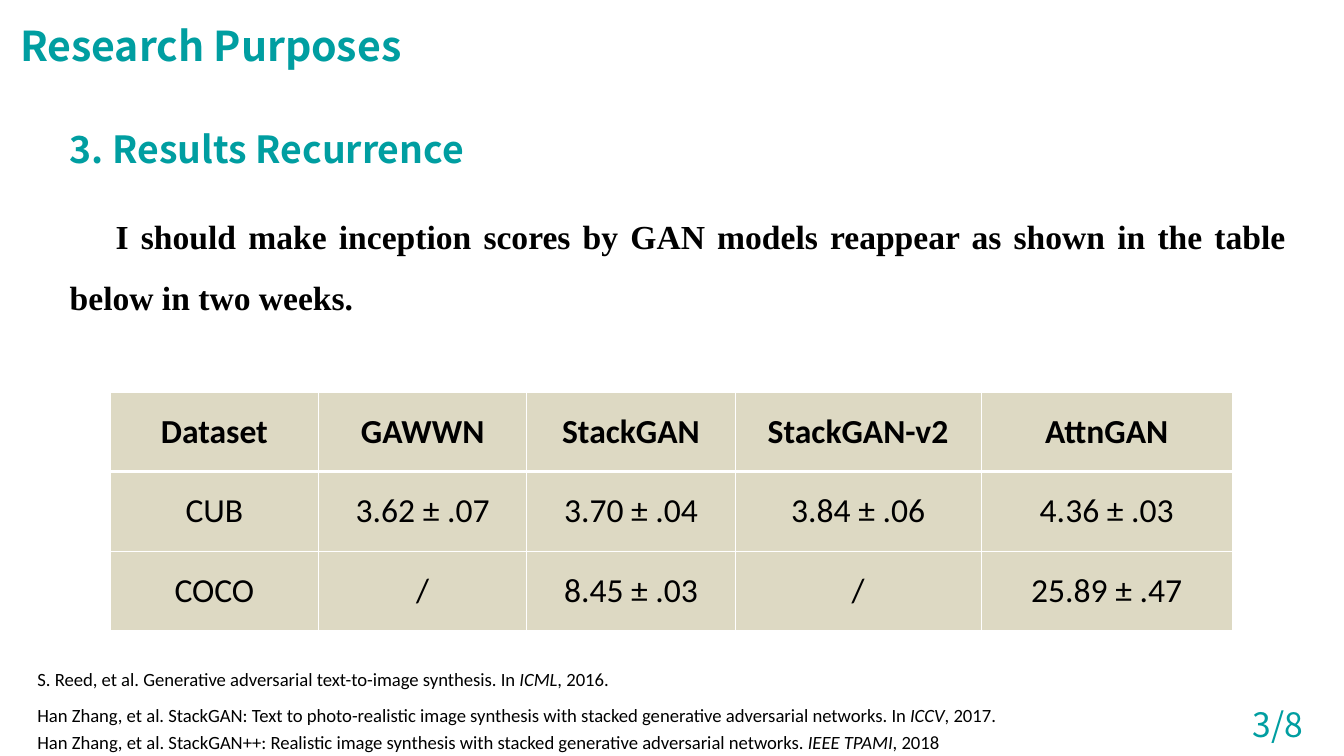
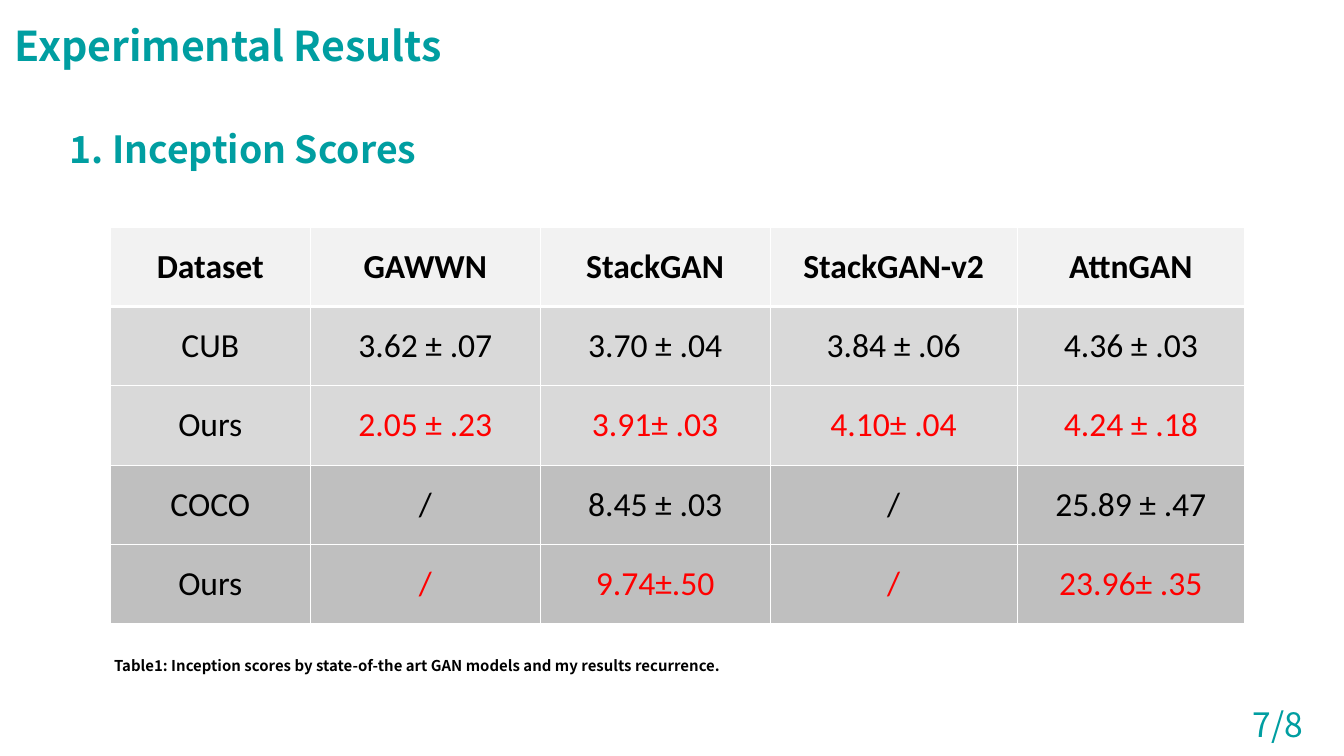
import pptx
import pptx.dml.color
import pptx.enum.text
import pptx.oxml
import pptx.oxml.ns
import pptx.util
from lxml import etree

Pt = pptx.util.Pt
RGBColor = pptx.dml.color.RGBColor
PP_ALIGN = pptx.enum.text.PP_ALIGN
MSO_ANCHOR = pptx.enum.text.MSO_ANCHOR
MSO_AUTO_SIZE = pptx.enum.text.MSO_AUTO_SIZE
qn = pptx.oxml.ns.qn

TEAL = RGBColor(0x00, 0x9E, 0xA1)
BLACK = RGBColor(0x00, 0x00, 0x00)
WHITE = RGBColor(0xFF, 0xFF, 0xFF)
RED = RGBColor(0xFF, 0x00, 0x00)
SAND = RGBColor(0xDD, 0xD9, 0xC3)
PALE_GREY = RGBColor(0xF2, 0xF2, 0xF2)
LIGHT_GREY = RGBColor(0xD9, 0xD9, 0xD9)
MID_GREY = RGBColor(0xBF, 0xBF, 0xBF)

SANS, SERIF, BODY = "Noto Sans CJK SC", "Times New Roman", "Calibri"
ROW_HEIGHT = 42.48
THIN, THICK = 0.45, 1.47

HEADER = ["Dataset", "GAWWN", "StackGAN", "StackGAN-v2", "AttnGAN"]
CUB = ["CUB", "3.62 ± .07", "3.70 ± .04", "3.84 ± .06", "4.36 ± .03"]
CUB_OURS = ["Ours", "2.05 ± .23", "3.91± .03", "4.10± .04", "4.24 ± .18"]
COCO = ["COCO", "/", "8.45 ± .03", "/", "25.89 ± .47"]
COCO_OURS = ["Ours", "/", "9.74±.50", "/", "23.96± .35"]

REFERENCES = [
    (354.24, 624.24, "S. Reed, et al. Generative adversarial text-to-image synthesis. In ",
     "ICML", ", 2016."),
    (373.68, 624.24, "Han Zhang, et al. StackGAN: Text to photo-realistic image synthesis "
     "with stacked generative adversarial networks. In ", "ICCV", ", 2017."),
    (388.08, 654.48, "Han Zhang, et al. StackGAN++: Realistic image synthesis with stacked "
     "generative adversarial networks. ", "IEEE TPAMI", ", 2018"),
]


def set_font(p, name, size, color, bold=False):
    p.font.name = name
    p.font.size = Pt(size)
    p.font.color.rgb = color
    p.font.bold = bold


def add_box(s, left, top, width, height, wrap=True):
    """Add an empty text box and return its first paragraph."""
    tf = s.shapes.add_textbox(Pt(left), Pt(top), Pt(width), Pt(height)).text_frame
    tf.word_wrap = wrap
    tf.auto_size = MSO_AUTO_SIZE.SHAPE_TO_FIT_TEXT
    return tf.paragraphs[0]


def add_body_text(s, box, text, font, size, color, indent=0):
    """Add a bold, justified paragraph with open line spacing."""
    p = add_box(s, *box)
    p.text = text
    p.alignment = PP_ALIGN.JUSTIFY
    p.line_spacing = 1.5
    p.space_after = Pt(12)
    if indent:
        p._p.get_or_add_pPr().set("indent", str(Pt(indent)))
    set_font(p, font, size, color, True)


def add_frame(prs, title, title_left, title_width, heading, page):
    """Add a slide with its title, section heading and page number."""
    s = prs.slides.add_slide(prs.slide_layouts[5])
    sp = s.shapes.title
    sp.left, sp.top = Pt(title_left), Pt(7.2)
    sp.width, sp.height = Pt(title_width), Pt(33.84)
    tf = sp.text_frame
    tf.text = title
    tf.word_wrap = False
    tf.auto_size = MSO_AUTO_SIZE.SHAPE_TO_FIT_TEXT
    tf.vertical_anchor = MSO_ANCHOR.TOP
    p = tf.paragraphs[0]
    p.alignment = PP_ALIGN.LEFT
    set_font(p, SANS, 22, TEAL, True)

    add_body_text(s, (30.24, 51.84, 666, 43.2), heading, SANS, 20, TEAL)

    p = add_box(s, 663.84, 373.68, 46.8, 28.8, wrap=False)
    p.text = page
    set_font(p, SANS, 18, TEAL)
    return s


def set_borders(cell, top, bottom):
    tcPr = cell._tc.get_or_add_tcPr()
    for side, width in (("lnL", THIN), ("lnR", THIN), ("lnT", top), ("lnB", bottom)):
        ln = etree.SubElement(tcPr, qn("a:" + side), w=str(Pt(width)))
        fill = etree.SubElement(ln, qn("a:solidFill"))
        etree.SubElement(fill, qn("a:srgbClr"), val=str(WHITE))


def add_score_table(s, left, top, widths, rows, fills):
    """Add a score table; values in rows named "Ours" are red."""
    table = s.shapes.add_table(len(rows), len(widths), Pt(left), Pt(top),
                               Pt(sum(widths)), Pt(ROW_HEIGHT * len(rows))).table
    table.horz_banding = False
    for column, width in zip(table.columns, widths):
        column.width = Pt(width)
    for i, (values, fill) in enumerate(zip(rows, fills)):
        table.rows[i].height = Pt(ROW_HEIGHT)
        for j, value in enumerate(values):
            cell = table.cell(i, j)
            set_borders(cell, THICK if i == 1 else THIN, THICK if i == 0 else THIN)
            cell.fill.solid()
            cell.fill.fore_color.rgb = fill
            cell.vertical_anchor = MSO_ANCHOR.MIDDLE
            p = cell.text_frame.paragraphs[0]
            p.text = value
            p.alignment = PP_ALIGN.CENTER
            ours = values[0] == "Ours" and j > 0
            set_font(p, BODY, 18, RED if ours else BLACK, i == 0)


def add_reference(s, top, width, citation, venue, year):
    p = add_box(s, 12.96, top, width, 19.44)
    for text in (citation, venue, year):
        r = p.add_run()
        r.text = text
        if text == venue:
            r.font.italic = True
    set_font(p, BODY, 10, BLACK)


def add_purposes_slide(prs):
    s = add_frame(prs, "Research Purposes", 3.6, 221.04, "3. Results Recurrence", "3/8")
    add_body_text(s, (30.24, 101.52, 666, 72),
                  "I should make inception scores by GAN models reappear as shown "
                  "in the table below in two weeks.", SERIF, 18, BLACK, indent=24.6)
    add_score_table(s, 59.04, 210.24, [111.6] * 3 + [131.76, 134.64],
                    [HEADER, CUB, COCO], [SAND] * 3)
    for reference in REFERENCES:
        add_reference(s, *reference)


def add_results_slide(prs):
    s = add_frame(prs, "Experimental Results", 0.72, 246.96, "1. Inception Scores", "7/8")
    add_score_table(s, 59.04, 121.68, [107.28, 123.12, 123.12, 132.48, 121.68],
                    [HEADER, CUB, CUB_OURS, COCO, COCO_OURS],
                    [PALE_GREY] + [LIGHT_GREY] * 2 + [MID_GREY] * 2)
    add_body_text(s, (54, 343.44, 618.48, 21.6),
                  "Table1: Inception scores by state-of-the art GAN models and my "
                  "results recurrence.", SANS, 8, BLACK)


def main():
    prs = pptx.Presentation()
    prs.slide_width, prs.slide_height = Pt(720), Pt(405)
    add_purposes_slide(prs)
    add_results_slide(prs)
    prs.save("out.pptx")


if __name__ == "__main__":
    main()
